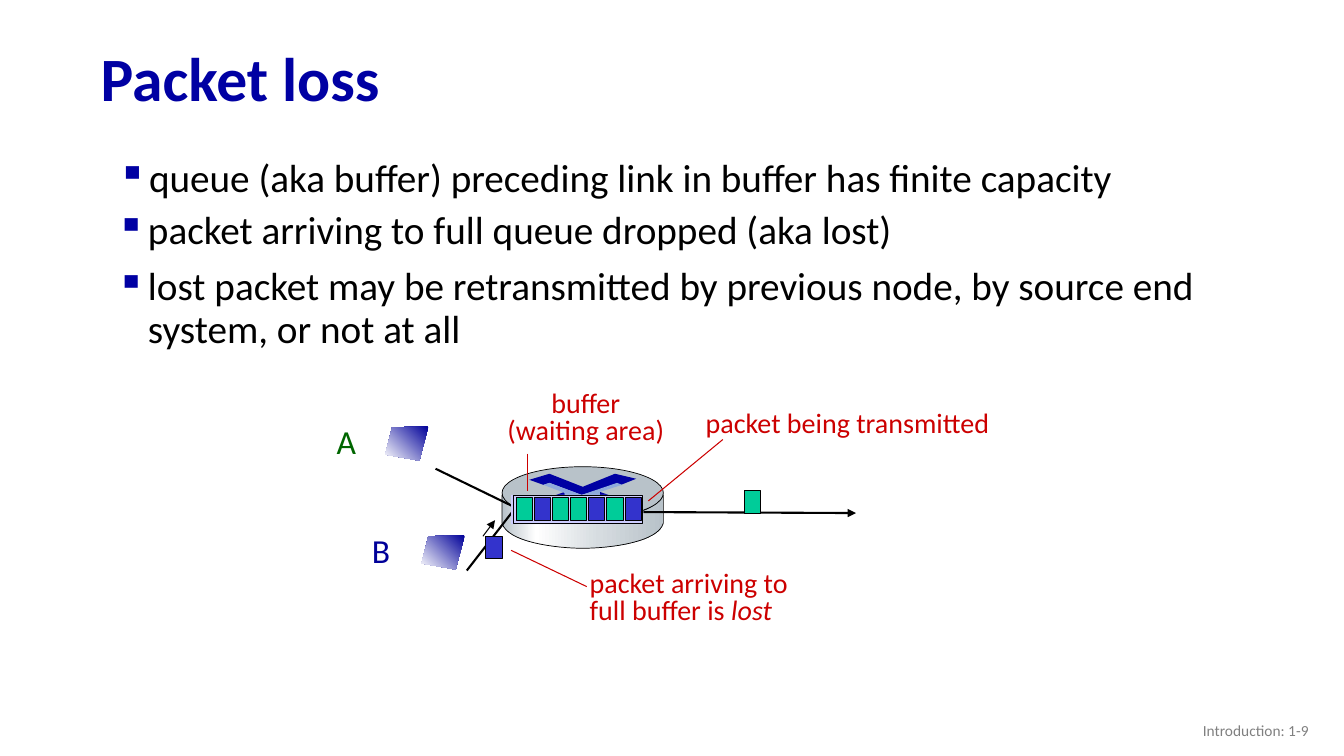
from lxml import etree
from pptx import Presentation
from pptx import util as u
from pptx.dml.color import RGBColor
from pptx.enum import shapes, text
from pptx.oxml import ns

COLUMNS, ROWS = 13.33, 7.5
WIDTH, HEIGHT = u.Inches(COLUMNS), u.Inches(ROWS)

BLACK = RGBColor(0, 0, 0)
WHITE = RGBColor(0xFF, 0xFF, 0xFF)
NAVY = RGBColor(0, 0, 0xA3)
HOST_BLUE = RGBColor(0, 0, 0x99)
HOST_GREEN = RGBColor(0, 0x66, 0)
RED = RGBColor(0xCC, 0, 0)
GRAY = RGBColor(0x80, 0x80, 0x80)
STEEL = RGBColor(0xB8, 0xC2, 0xC9)
PALE_STEEL = RGBColor(0xD6, 0xDC, 0xE0)
SKY = RGBColor(0x8F, 0xAA, 0xDC)
LAVENDER = RGBColor(0xCC, 0xCC, 0xFF)
GREEN = RGBColor(0, 0xCC, 0x99)
BLUE = RGBColor(0x33, 0x33, 0xCC)

PACKET_WIDTH, PACKET_HEIGHT, PACKET_STEP = 0.16, 0.22, 0.18
QUEUE = [GREEN, BLUE, GREEN, GREEN, BLUE, GREEN, BLUE]
HOST_OUTLINE = [(0.43, 0), (0.07, 0.01), (0, 0.28), (0.34, 0.34)]
ROUTER_ARROWS = [
    [(6.1, 4.7), (6.31, 4.75), (6.16, 4.81), (6.12, 4.8), (5.77, 4.91),
     (5.45, 4.79), (5.39, 4.81), (5.25, 4.76), (5.45, 4.7), (5.78, 4.83)],
    [(5.95, 4.88), (6.34, 5.02), (6.2, 5.07), (5.94, 4.98)],
    [(5.6, 4.88), (5.61, 4.98), (5.35, 5.07), (5.21, 5.02)],
]
ROUTER_CROSS = [
    (5.39, 4.81), (5.45, 4.79), (5.77, 4.91), (6.12, 4.79), (6.17, 4.81),
    (5.95, 4.88), (5.95, 4.98), (6.2, 5.07), (6.13, 5.08), (5.78, 4.95),
    (5.41, 5.08), (5.35, 5.06), (5.6, 4.98), (5.6, 4.89),
]


def column(count):
    return round(WIDTH * count / COLUMNS)


def row(count):
    return round(HEIGHT * count / ROWS)


def bezier(start, first, second, end, steps=16):
    points = []
    for step in range(1, steps + 1):
        t = step / steps
        weights = ((1 - t) ** 3, 3 * t * (1 - t) ** 2, 3 * t * t * (1 - t), t ** 3)
        points.append(tuple(
            sum(weight * value for weight, value in zip(weights, values))
            for values in zip(start, first, second, end)))
    return points


def paint(shape, fill, line_width):
    shape.shadow.inherit = False
    if fill is None:
        shape.fill.background()
    else:
        shape.fill.solid()
        shape.fill.fore_color.rgb = fill
    if line_width:
        shape.line.color.rgb = BLACK
        shape.line.width = u.Pt(line_width)
    else:
        shape.line.fill.background()


def paint_gradient(shape, stops, angle):
    shape.fill.gradient()
    gradient = shape.fill._xPr.find(ns.qn("a:gradFill"))
    stop_list = gradient.find(ns.qn("a:gsLst"))
    for stop in list(stop_list):
        stop_list.remove(stop)
    for position, color in stops:
        stop = etree.SubElement(stop_list, ns.qn("a:gs"), pos=str(position * 1000))
        etree.SubElement(stop, ns.qn("a:srgbClr"), val=str(color))
    gradient.find(ns.qn("a:lin")).set("ang", str(angle * 60000))


def add_block(slide, kind, left, top, width, height, fill, line_width=0):
    shape = slide.shapes.add_shape(
        kind, column(left), row(top), column(width), row(height))
    paint(shape, fill, line_width)


def add_packet(slide, left, top, color):
    add_block(slide, shapes.MSO_SHAPE.RECTANGLE, left, top,
              PACKET_WIDTH, PACKET_HEIGHT, color, 0.75)


def add_outline(slide, points, fill, line_width=0):
    corners = [(column(x), row(y)) for x, y in points]
    builder = slide.shapes.build_freeform(*corners[0])
    builder.add_line_segments(corners[1:], close=True)
    shape = builder.convert_to_shape()
    paint(shape, fill, line_width)
    return shape


def add_line(slide, start, end, color, width, arrow=False):
    connector = slide.shapes.add_connector(
        shapes.MSO_CONNECTOR.STRAIGHT, column(start[0]), row(start[1]),
        column(end[0]), row(end[1]))
    connector.line.color.rgb = color
    connector.line.width = u.Pt(width)
    if arrow:
        etree.SubElement(connector.line._get_or_add_ln(), ns.qn("a:tailEnd"),
                         type="triangle")
    etree.SubElement(connector._element.spPr, ns.qn("a:effectLst"))


def add_bullet(paragraph):
    properties = paragraph._p.get_or_add_pPr()
    properties.set("marL", str(u.Inches(0.31)))
    properties.set("indent", str(-u.Inches(0.31)))
    color = etree.SubElement(properties, ns.qn("a:buClr"))
    etree.SubElement(color, ns.qn("a:srgbClr"), val=str(NAVY))
    etree.SubElement(properties, ns.qn("a:buChar"), char="▪")


def add_text(slide, left, top, width, height, lines, size, color, spacing=None,
             wrap=True, bold=False, bullets=False, middle=False, align=None):
    box = slide.shapes.add_textbox(
        column(left), row(top), column(width), row(height))
    frame = box.text_frame
    frame.word_wrap = wrap
    if not wrap:
        frame.auto_size = text.MSO_AUTO_SIZE.SHAPE_TO_FIT_TEXT
    if middle:
        frame.vertical_anchor = text.MSO_ANCHOR.MIDDLE
    for index, line in enumerate(lines):
        paragraph = frame.add_paragraph() if index else frame.paragraphs[0]
        paragraph.text = line
        if spacing:
            paragraph.line_spacing = spacing
        if align is not None:
            paragraph.alignment = align
        if bullets:
            if index:
                paragraph.space_before = u.Pt(10)
            add_bullet(paragraph)
        font = paragraph.font
        font.name, font.size, font.bold = "Calibri", u.Pt(size), bold
        font.color.rgb = color
    return frame


def add_label(slide, left, top, width, height, lines, align=None):
    return add_text(slide, left, top, width, height, lines, 20, RED,
                    spacing=0.8, wrap=False, align=align)


def add_router(slide):
    side = [(6.58, 4.91), (6.58, 5.19)]
    side += bezier(side[-1], (6.53, 5.38), (6.05, 5.44), (5.78, 5.44))
    side += bezier(side[-1], (5.52, 5.44), (5.03, 5.38), (4.98, 5.19))
    side.append((4.98, 4.91))
    side += bezier(side[-1], (5.05, 5.07), (5.51, 5.16), (5.77, 5.16))
    side += bezier(side[-1], (6.04, 5.16), (6.5, 5.1), (6.58, 4.91))
    body = add_outline(slide, side, STEEL, 0.5)
    paint_gradient(body, [(0, STEEL), (21, WHITE), (60, PALE_STEEL), (100, STEEL)], 0)
    add_block(slide, shapes.MSO_SHAPE.OVAL, 4.98, 4.63, 1.6, 0.52, STEEL, 0.5)
    for arrow in ROUTER_ARROWS:
        add_outline(slide, arrow, NAVY)
    add_outline(slide, ROUTER_CROSS, SKY)


def add_host(slide, left, top):
    screen = add_outline(
        slide, [(left + x, top + y) for x, y in HOST_OUTLINE], HOST_BLUE)
    paint_gradient(screen, [(0, HOST_BLUE), (100, WHITE)], 135)


def add_queue(slide):
    rectangle = shapes.MSO_SHAPE.RECTANGLE
    add_block(slide, rectangle, 5.07, 4.91, 1.31, 0.29, LAVENDER)
    for index, color in enumerate(QUEUE):
        add_packet(slide, 5.12 + index * PACKET_STEP, 4.94, color)
    add_block(slide, rectangle, 5.09, 4.92, 1.28, 0.27, None, 0.75)


def main():
    presentation = Presentation()
    presentation.slide_width, presentation.slide_height = WIDTH, HEIGHT
    slide = presentation.slides.add_slide(presentation.slide_layouts[6])

    add_text(slide, 0.9, 0.32, 11.5, 0.98, ["Packet loss"], 44, NAVY,
             spacing=0.9, bold=True, middle=True)
    add_text(slide, 1.07, 1.52, 11.17, 0.79,
             ["queue (aka buffer) preceding link in buffer has finite capacity"],
             28, BLACK, spacing=0.9, bullets=True)
    add_text(slide, 1.06, 2.04, 11.17, 2.32,
             ["packet arriving to full queue dropped (aka lost)",
              "lost packet may be retransmitted by previous node, by source end "
              "system, or not at all"], 28, BLACK, spacing=0.9, bullets=True)

    add_router(slide)
    add_line(slide, (4.32, 4.65), (5.08, 5.02), BLACK, 1.5)
    add_line(slide, (4.63, 5.66), (5.08, 5.08), BLACK, 1.5)
    add_line(slide, (6.38, 5.08), (8.49, 5.09), BLACK, 1.5, arrow=True)
    add_queue(slide)
    add_packet(slide, 7.38, 4.87, GREEN)
    add_packet(slide, 4.82, 5.32, BLUE)
    add_line(slide, (4.79, 5.32), (4.91, 5.16), BLACK, 0.75, arrow=True)
    add_host(slide, 3.82, 4.23)
    add_host(slide, 4.18, 5.31)

    add_text(slide, 3.24, 4.13, 0.4, 0.5, ["A"], 24, HOST_GREEN, wrap=False)
    add_text(slide, 3.59, 5.21, 0.38, 0.5, ["B"], 24, HOST_BLUE, wrap=False)
    add_label(slide, 6.9, 4.04, 3.05, 0.38, ["packet being transmitted"])
    add_label(slide, 4.92, 3.84, 1.78, 0.65, ["buffer", "(waiting area)"],
              align=text.PP_ALIGN.CENTER)
    lost = add_label(slide, 5.75, 5.63, 2.19, 0.65,
                     ["packet arriving to", "full buffer is "])
    lost_run = lost.paragraphs[1].add_run()
    lost_run.text = "lost"
    lost_run.font.italic = True
    for start, end in [((7.17, 4.36), (6.43, 4.97)), ((5.23, 4.5), (5.23, 4.87)),
                       ((5.82, 5.82), (5.07, 5.46))]:
        add_line(slide, start, end, RED, 0.75)

    add_text(slide, 10.08, 7.05, 3, 0.4, ["Introduction: 1-9"], 11, GRAY,
             middle=True, align=text.PP_ALIGN.RIGHT)
    presentation.save("out.pptx")


if __name__ == "__main__":
    main()
